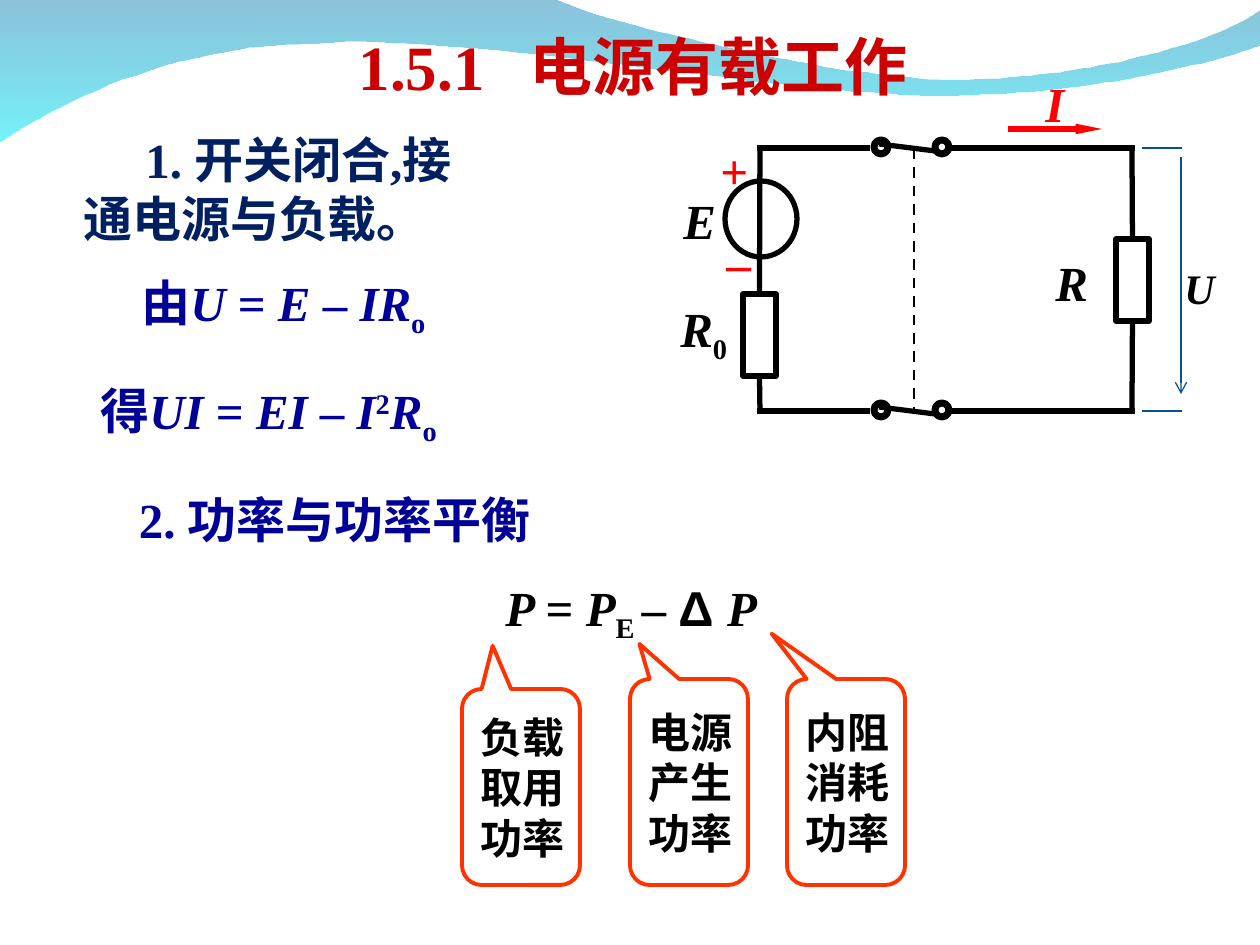
from dataclasses import dataclass

import lxml.etree
import pptx
import pptx.dml.color
import pptx.enum.dml
import pptx.enum.shapes
import pptx.enum.text
import pptx.oxml.ns
import pptx.util

SCALE = 914400 / 126
LATIN, HAN = "Times New Roman", "Noto Sans CJK JP"
COLORS = {"black": "000000", "red": "FF0000", "title": "CC0000", "navy": "002060",
          "blue": "000099", "callout": "FF3300", "measure": "065093",
          "wave_top": "0079AF", "wave_bottom": "00EBF8"}
SHAPES = pptx.enum.shapes.MSO_SHAPE


@dataclass
class Span:
    text: str
    italic: bool = False
    baseline: int = 0
    font: str = LATIN


@dataclass
class Label:
    left: int
    top: int
    width: int
    height: int
    spans: list[Span]
    color: str = "black"
    size: int = 28
    middle: bool = False
    centred: bool = False
    indent: int = 0


@dataclass
class Callout:
    left: int
    top: int
    height: int
    tip: tuple[float, float]
    lines: list[str]


@dataclass
class Wire:
    start: tuple[int, int]
    end: tuple[int, int]
    color: str = "black"
    weight: float = 3
    head: str = ""


def emu(px: float) -> int:
    return round(px * SCALE)


def rgb(name: str) -> pptx.dml.color.RGBColor:
    return pptx.dml.color.RGBColor.from_string(COLORS[name])


def child(parent, tag: str, **attributes: str):
    return lxml.etree.SubElement(parent, pptx.oxml.ns.qn(tag), attributes)


def style_run(run, span: Span, color: str, size: int) -> None:
    font = run.font
    font.size, font.bold, font.italic = pptx.util.Pt(size), True, span.italic
    font.name = span.font
    font.color.rgb = rgb(color)
    properties = run._r.get_or_add_rPr()
    child(properties, "a:ea", typeface=HAN)
    if span.baseline:
        properties.set("baseline", str(span.baseline * 1000))


def fill_frame(frame, label: Label) -> None:
    anchors = pptx.enum.text.MSO_ANCHOR
    alignments = pptx.enum.text.PP_ALIGN
    frame.word_wrap = True
    frame.auto_size = pptx.enum.text.MSO_AUTO_SIZE.SHAPE_TO_FIT_TEXT
    frame.vertical_anchor = anchors.MIDDLE if label.middle else anchors.TOP
    para = frame.paragraphs[0]
    para.alignment = alignments.CENTER if label.centred else alignments.LEFT
    para.space_before = pptx.util.Pt(0)
    if label.indent:
        para._p.get_or_add_pPr().set("indent", str(emu(label.indent)))
    for span in label.spans:
        run = para.add_run()
        run.text = span.text
        style_run(run, span, label.color, label.size)


def place(shape, label: Label) -> None:
    shape.left, shape.top = emu(label.left), emu(label.top)
    shape.width, shape.height = emu(label.width), emu(label.height)


def add_label(page, label: Label) -> None:
    box = page.shapes.add_textbox(0, 0, 0, 0)
    place(box, label)
    fill_frame(box.text_frame, label)


def add_outline(page, kind, left: int, top: int, width: int, height: int,
                color: str = "black", weight: float = 3):
    shape = page.shapes.add_shape(kind, emu(left), emu(top), emu(width), emu(height))
    shape.shadow.inherit = False
    shape.fill.background()
    shape.line.color.rgb = rgb(color)
    shape.line.width = pptx.util.Pt(weight)
    return shape


def add_callout(page, callout: Callout) -> None:
    shape = add_outline(page, SHAPES.ROUNDED_RECTANGULAR_CALLOUT, callout.left,
                        callout.top, 118, callout.height, "callout", 2.25)
    for index, value in enumerate((*callout.tip, 0.167)):
        shape.adjustments[index] = value
    frame = shape.text_frame
    frame.word_wrap = False
    frame.vertical_anchor = pptx.enum.text.MSO_ANCHOR.MIDDLE
    frame.text = "\n".join(callout.lines)
    for para in frame.paragraphs:
        para.alignment = pptx.enum.text.PP_ALIGN.LEFT
        style_run(para.runs[0], Span(para.text), "black", 24)


def add_wire(page, wire: Wire):
    line = page.shapes.add_connector(pptx.enum.shapes.MSO_CONNECTOR.STRAIGHT,
                                     *map(emu, (*wire.start, *wire.end)))
    line.line.color.rgb = rgb(wire.color)
    line.line.width = pptx.util.Pt(wire.weight)
    if wire.head == "triangle":
        child(line.line._get_or_add_ln(), "a:tailEnd", type=wire.head, w="sm", len="lg")
    elif wire.head:
        child(line.line._get_or_add_ln(), "a:tailEnd", type=wire.head)
    child(line._element.spPr, "a:effectLst")
    return line


def curve_points(start, control1, control2, end, steps: int = 24) -> list:
    """Sample a cubic Bézier curve, leaving out its start."""
    points = []
    for step in range(1, steps + 1):
        t = step / steps
        weights = ((1 - t) ** 3, 3 * t * (1 - t) ** 2, 3 * t * t * (1 - t), t ** 3)
        points.append(tuple(sum(w * p[axis] for w, p in zip(weights, (start, control1, control2, end)))
                            for axis in (0, 1)))
    return points


def add_wave(page) -> None:
    upper = [(554, -1), (600, 21), (837, 79), (955, 79), (1075, 79), (1207, 47), (1260, 11)]
    lower = [(1261, 45), (1239, 55), (1096, 96), (940, 95), (784, 95), (481, 35), (325, 43),
             (163, 45), (58, 105), (-1, 142)]
    points = []
    for edge in (upper, lower):
        points.append(edge[0])
        for index in range(0, len(edge) - 1, 3):
            points += curve_points(*edge[index:index + 4])
    builder = page.shapes.build_freeform(0, 0, scale=SCALE)
    builder.add_line_segments(points, close=True)
    wave = builder.convert_to_shape()
    wave.shadow.inherit = False
    wave.line.fill.background()
    wave.fill.gradient()
    wave.fill.gradient_angle = 270
    for stop, name in zip(wave.fill.gradient_stops, ("wave_top", "wave_bottom")):
        stop.color.rgb = rgb(name)
    for color, alpha in zip(wave._element.spPr.iter(pptx.oxml.ns.qn("a:srgbClr")), (45, 55)):
        child(color, "a:alpha", val=str(alpha * 1000))
    page.shapes._spTree.insert(2, wave._element)


def add_title(page) -> None:
    label = Label(346, 21, 609, 88, [Span("1.5.1\t"), Span("电源有载工作", font=HAN)], "title", 36)
    title = page.shapes.title
    place(title, label)
    fill_frame(title.text_frame, label)
    tabs = child(title.text_frame.paragraphs[0]._p.get_or_add_pPr(), "a:tabLst")
    child(tabs, "a:tab", pos=str(emu(171)), algn="l")


def add_circuit(page) -> None:
    source_resistor = add_outline(page, SHAPES.RECTANGLE, 743, 294, 33, 82)
    load_resistor = add_outline(page, SHAPES.RECTANGLE, 1116, 239, 33, 82)
    add_outline(page, SHAPES.OVAL, 725, 181, 72, 76)
    # Each lead runs from a resistor's side to a corner of the loop.
    for resistor, side, corner in ((source_resistor, 0, (760, 148)), (source_resistor, 2, (760, 411)),
                                   (load_resistor, 0, (1132, 148)), (load_resistor, 2, (1132, 411))):
        add_wire(page, Wire(corner, corner)).begin_connect(resistor, side)
    for y in (148, 411):
        add_wire(page, Wire((757, y), (870, y)))
        add_wire(page, Wire((951, y), (1135, y)))
        add_wire(page, Wire((935, y + 3), (879, y - 4)))
        for x in (874, 935):
            add_outline(page, SHAPES.OVAL, x, y - 8, 14, 14, weight=4)
        add_wire(page, Wire((1142, y), (1182, y), "measure", 0.75))
    link = add_wire(page, Wire((914, 149), (914, 410), weight=1.5))
    link.line.dash_style = pptx.enum.dml.MSO_LINE.DASH
    add_wire(page, Wire((1008, 129), (1102, 129), "red", 3, "triangle"))
    add_wire(page, Wire((1181, 157), (1181, 394), "measure", 0.75, "arrow"))


LABELS = [
    Label(71, 123, 399, 131, [Span("1. 开关闭合,接通电源与负载。")], "navy", middle=True, indent=62),
    Label(129, 266, 472, 79, [Span("由"), Span("U ", True), Span("= "), Span("E ", True),
                              Span("– "), Span("IR", True), Span("o", baseline=-25)], "blue"),
    Label(88, 374, 472, 79, [Span("得"), Span("UI ", True), Span("= "), Span("EI ", True),
                             Span("– "), Span("I", True), Span("2", baseline=30),
                             Span("R", True), Span("o", baseline=-25)], "blue"),
    Label(104, 483, 461, 72, [Span("2. 功率与功率平衡")], "blue", middle=True, centred=True),
    Label(493, 571, 315, 79, [Span("P ", True), Span("= "), Span("P", True), Span("E ", baseline=-25),
                              Span("– "), Span("Δ ", font="Arial"), Span("P", True)]),
    Label(668, 292, 116, 79, [Span("R", True), Span("0", baseline=-25)]),
    Label(671, 184, 72, 72, [Span("E", True)]),
    Label(1043, 246, 52, 72, [Span("R", True)]),
    Label(708, 134, 49, 72, [Span("+")], "red"),
    Label(714, 226, 49, 72, [Span("–")], "red"),
    Label(1033, 67, 52, 72, [Span("I", True)], "red"),
    Label(1172, 256, 59, 63, [Span("U", True)], size=24),
]
CALLOUTS = [
    Callout(462, 689, 196, (-0.24, -0.72), ["负载", "取用", "功率"]),
    Callout(630, 679, 206, (-0.42, -0.67), ["电源", "产生", "功率"]),
    Callout(787, 679, 206, (-0.63, -0.72), ["内阻", "消耗", "功率"]),
]


def main() -> None:
    deck = pptx.Presentation()
    deck.slide_width, deck.slide_height = emu(1260), emu(945)
    page = deck.slides.add_slide(deck.slide_layouts[5])
    add_wave(page)
    add_title(page)
    add_circuit(page)
    for callout in CALLOUTS:
        add_callout(page, callout)
    for label in LABELS:
        add_label(page, label)
    deck.save("out.pptx")


if __name__ == "__main__":
    main()
